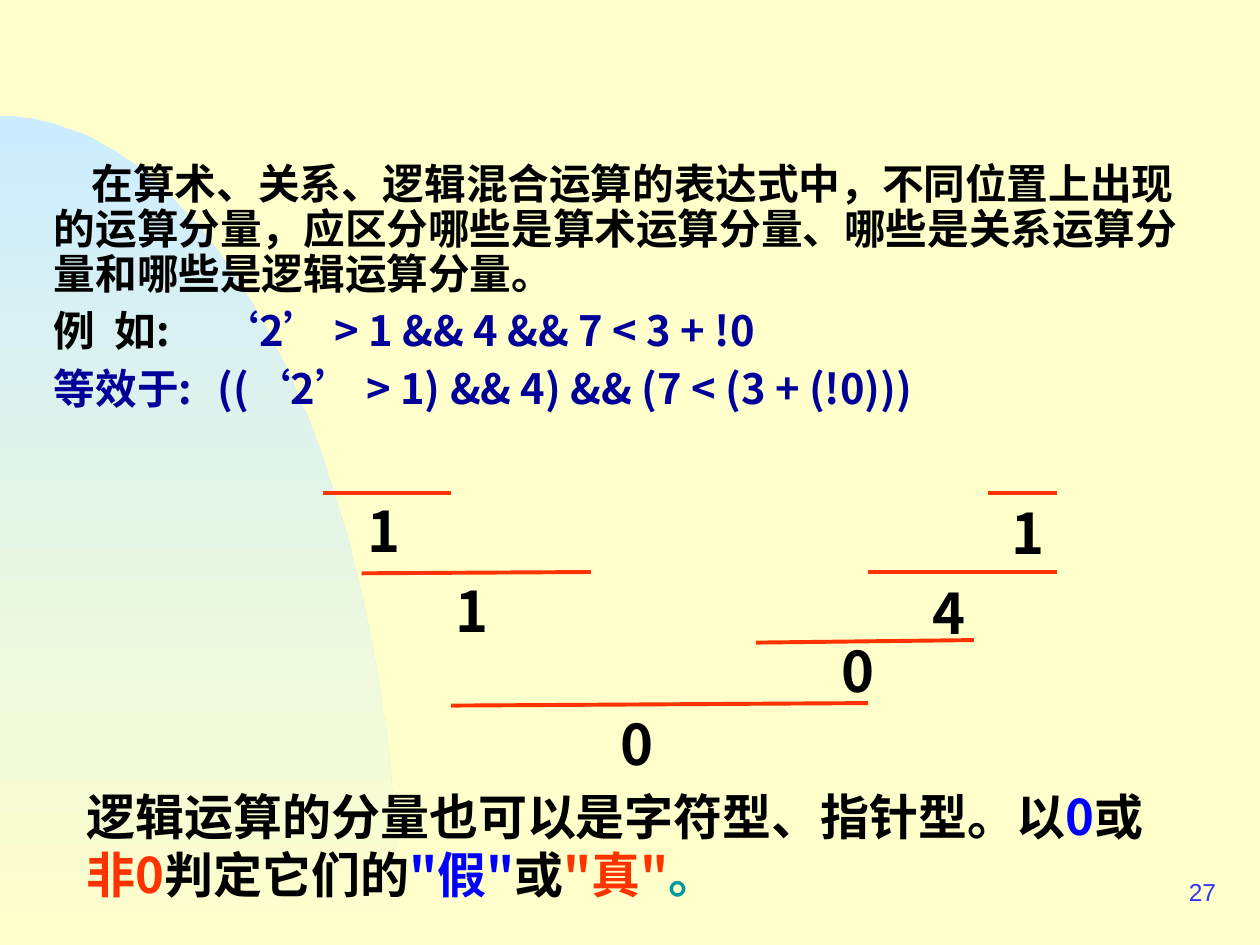
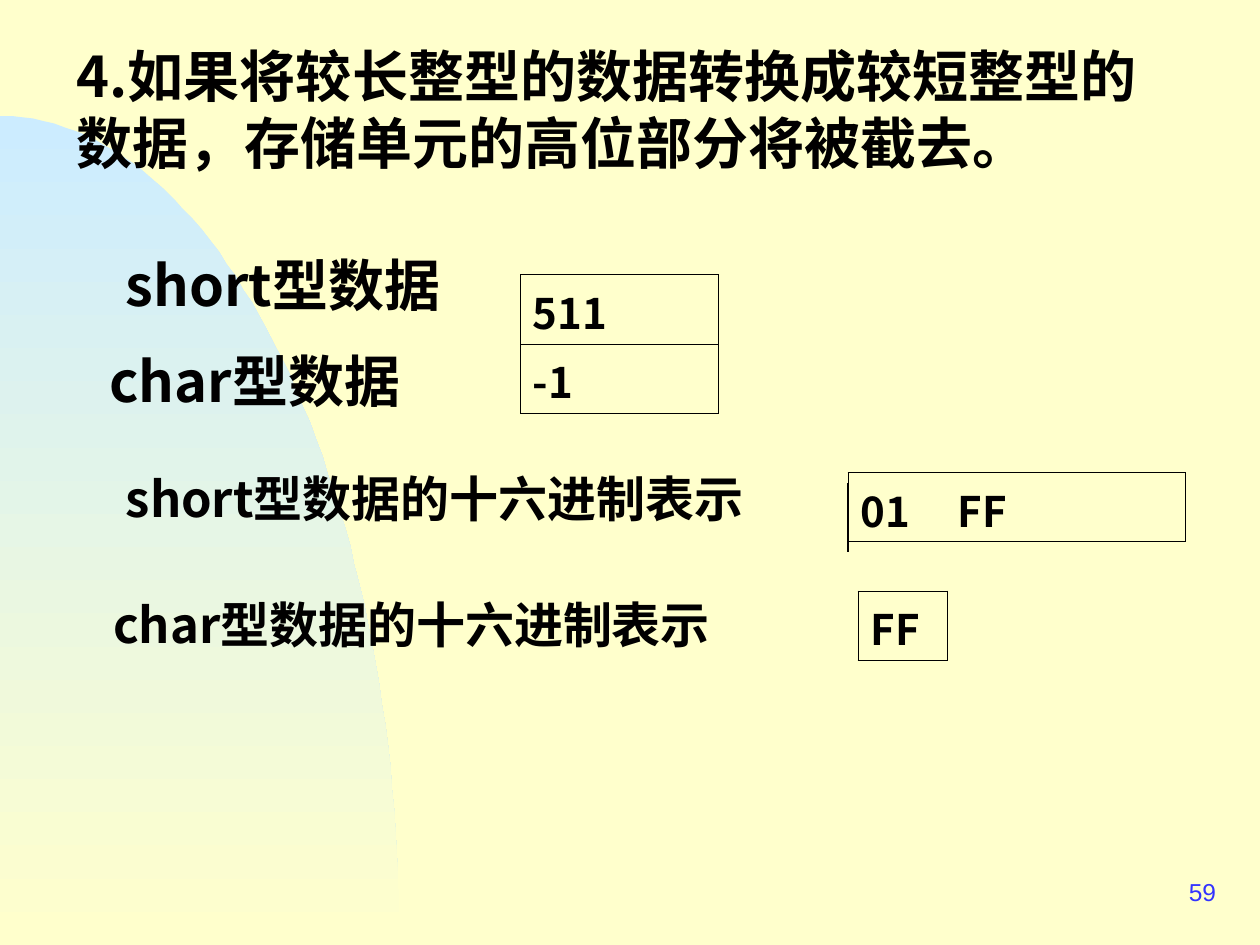
from lxml import etree
from pptx import Presentation
from pptx import util as u
from pptx.dml import color
from pptx.enum import shapes, text
from pptx.oxml import ns

PX = 9144
SANS, MONO = "Noto Sans CJK SC", "Courier New"
COLORS = {
    "paper": "FFFFCC", "sky": "CCECFF", "ink": "010000", "number": "3333FF",
    "code": "000099", "blue": "0000FF", "red": "FF3300", "teal": "009999",
    "border": "000000",
}


def px(*lengths):
    return [u.Emu(length * PX) for length in lengths]


def rgb(name):
    return color.RGBColor.from_string(COLORS[name])


def write(para, parts, size, face=SANS, bold=True, tabs=()):
    para.font.size, para.font.bold, para.font.name = u.Pt(size), bold, face
    defaults = para._p.pPr.find(ns.qn("a:defRPr"))
    etree.SubElement(defaults, ns.qn("a:ea"), typeface=face)
    if tabs:
        stops = etree.Element(ns.qn("a:tabLst"))
        for stop in tabs:
            etree.SubElement(stops, ns.qn("a:tab"), pos=str(stop * PX), algn="l")
        defaults.addprevious(stops)
    if len({tone for _, tone, *_ in parts}) == 1:
        para.font.color.rgb = rgb(parts[0][1])
    for words, tone, *other_face in parts:
        span = para.add_run()
        span.text = words
        if len(parts) > 1:
            span.font.color.rgb = rgb(tone)
        if other_face:
            span.font.name = other_face[0]


def text_frame(page, box):
    frame = page.shapes.add_textbox(*px(*box)).text_frame
    frame.word_wrap = True
    return frame


def label(page, box, words, size):
    write(text_frame(page, box).paragraphs[0], [(words, "ink")], size)


def rule(page, start, end, tone, width):
    line = page.shapes.add_connector(shapes.MSO_CONNECTOR.STRAIGHT, *px(*start, *end))
    line.line.color.rgb, line.line.width = rgb(tone), u.Pt(width)
    etree.SubElement(line._element.spPr, ns.qn("a:effectLst"))


def sky_curve(page, box):
    left, top, width, height = box
    points = []
    for step in range(1, 61):
        t = step / 60
        across = 3 * t * (1 - t) ** 2 * 0.55 + 3 * t ** 2 * (1 - t) + t ** 3
        down = 3 * t ** 2 * (1 - t) * 0.45 + t ** 3
        points.append((left + width * across, top + height * down))
    outline = page.shapes.build_freeform(left, top, scale=PX)
    outline.add_line_segments(points + [(left, top + height)], close=True)
    curve = outline.convert_to_shape()
    curve.shadow.inherit = False
    curve.line.fill.background()
    curve.fill.gradient()
    curve.fill.gradient_angle = 270
    for stop, tone in zip(curve.fill.gradient_stops, ("sky", "paper")):
        stop.color.rgb = rgb(tone)


def new_page(deck, number):
    page = deck.slides.add_slide(deck.slide_layouts[6])
    sky_curve(page, (0, 92, 317, 658))
    frame = text_frame(page, (767, 683, 208, 50))
    frame.vertical_anchor = text.MSO_ANCHOR.MIDDLE
    para = frame.paragraphs[0]
    para.alignment = text.PP_ALIGN.RIGHT
    write(para, [(str(number), "number")], 14, "Arial", False)
    return page


def explanation(page, box):
    intro = ("在算术、关系、逻辑混合运算的表达式中，不同位置上出现的运算分量，"
             "应区分哪些是算术运算分量、哪些是关系运算分量和哪些是逻辑运算分量。")
    quoted = [("‘", "code", MONO), ("2", "code"), ("’ ", "code", MONO)]
    paragraphs = [
        [(intro, "ink")],
        [("例\t如:\t", "ink"), *quoted, ("> 1 && 4 && 7 < 3 + !0", "code")],
        [("等效于:\t((", "code"), *quoted, ("> 1) && 4) && (7 < (3 + (!0)))", "code")],
    ]
    frame = text_frame(page, box)
    for index, parts in enumerate(paragraphs):
        para = frame.add_paragraph() if index else frame.paragraphs[0]
        para.line_spacing, para.space_before = 0.9, u.Pt(7)
        write(para, parts, 23.8, tabs=(48, 130) if index else ())
    frame.paragraphs[0]._p.pPr.set("indent", str(30 * PX))


def evaluation_steps(page, box):
    left, top, _, _ = box
    steps = [
        ((0, 2), (102, 2), "1", (26, 0, 37)),
        ((528, 2), (583, 2), "1", (537, 2, 37)),
        ((31, 66), (213, 65), "1", (96, 64, 37)),
        ((433, 65), (583, 65), "4", (474, 65, 37)),
        ((344, 121), (517, 119), "0", (402, 111, 45)),
        ((102, 171), (433, 169), "0", (227, 169, 55)),
    ]
    for start, end, result, (across, down, width) in steps:
        rule(page, (left + start[0], top + start[1]),
             (left + end[0], top + end[1]), "red", 2.25)
        label(page, (left + across, top + down, width, 64), result, 32)


def conclusion(page, box):
    write(text_frame(page, box).paragraphs[0], [
        ("逻辑运算的分量也可以是字符型、指针型。以", "ink"), ("0", "blue"),
        ("或", "ink"), ("非0", "red"), ("判定它们的", "ink"), ('"假"', "blue"),
        ("或", "ink"), ('"真"', "red"), ("。", "teal"),
    ], 28)


def memory_cell(page, box, value):
    table = page.shapes.add_table(1, 1, *px(*box)).table
    table.first_row = table.horz_banding = False
    cell = table.cell(0, 0)
    write(cell.text_frame.paragraphs[0], [(value, "ink")], 24, tabs=(77,))
    properties = cell._tc.get_or_add_tcPr()
    for side in ("lnL", "lnR", "lnT", "lnB"):
        border = etree.SubElement(properties, ns.qn(f"a:{side}"), w=str(u.Pt(0.45)))
        fill = etree.SubElement(border, ns.qn("a:solidFill"))
        etree.SubElement(fill, ns.qn("a:srgbClr"), val=COLORS["border"])
    cell.fill.background()


def decimal_values(page, box):
    left, top, _, _ = box
    label(page, (left + 13, top, 347, 117), "short型数据", 32)
    label(page, (left, top + 76, 271, 64), "char型数据", 32)
    for row, value in enumerate(("511", "-1")):
        memory_cell(page, (left + 336, top + 24 + 55 * row, 157, 55), value)


def hexadecimal_values(page, box):
    left, top, _, _ = box
    label(page, (left + 10, top, 575, 104), "short型数据的十六进制表示", 28)
    label(page, (left, top + 100, 511, 57), "char型数据的十六进制表示", 28)
    memory_cell(page, (left + 593, top + 8, 268, 55), "01\tFF")
    rule(page, (left + 593, top + 16), (left + 593, top + 71), "ink", 0.75)
    memory_cell(page, (left + 601, top + 102, 71, 55), "FF")


def mixed_expression_page(deck):
    page = new_page(deck, 27)
    explanation(page, (33, 125, 931, 281))
    evaluation_steps(page, (256, 389, 583, 233))
    conclusion(page, (59, 619, 883, 104))


def truncation_page(deck):
    page = new_page(deck, 59)
    label(page, (51, 28, 898, 117),
          "4.如果将较长整型的数据转换成较短整型的数据，存储单元的高位部分将被截去。", 32)
    decimal_values(page, (77, 194, 493, 140))
    hexadecimal_values(page, (80, 367, 861, 157))


def main():
    deck = Presentation()
    deck.slide_width, deck.slide_height = px(1000, 750)
    backdrop = deck.slide_master.background.fill
    backdrop.solid()
    backdrop.fore_color.rgb = rgb("paper")
    mixed_expression_page(deck)
    truncation_page(deck)
    deck.save("out.pptx")


if __name__ == "__main__":
    main()
